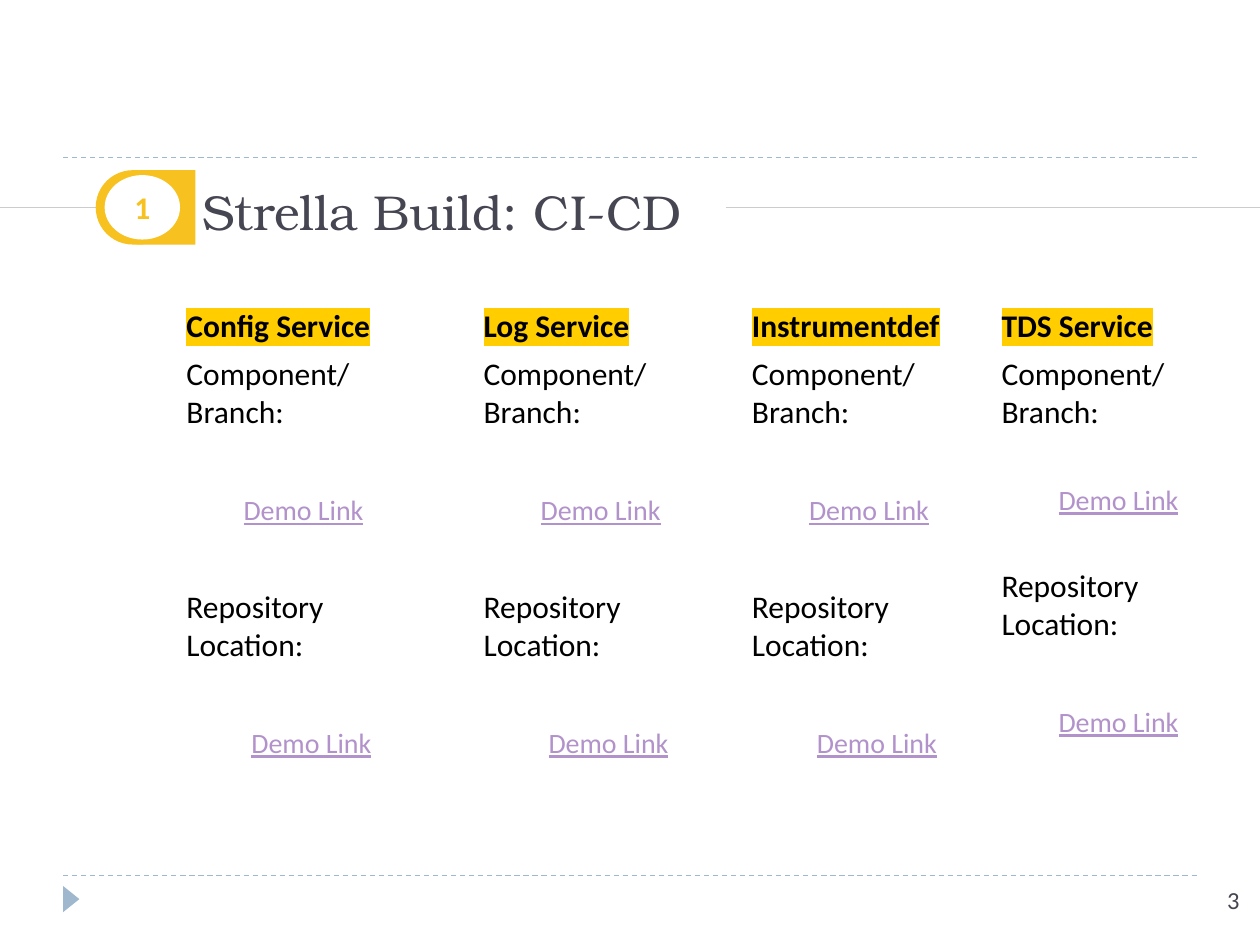
from lxml.etree import SubElement
from pptx import Presentation
from pptx.dml.color import RGBColor
from pptx.enum.dml import MSO_LINE
from pptx.enum.shapes import MSO_CONNECTOR, MSO_SHAPE
from pptx.enum.text import MSO_ANCHOR, PP_ALIGN
from pptx.oxml.ns import qn
from pptx.util import Cm, Pt

COLORS = {
    "ink": "000000", "heading": "464653", "link": "B292CA", "mark": "FFCD00",
    "badge": "F7C120", "white": "FFFFFF", "dash": "9FB8CD", "rule": "CCCCCC",
}
BODY, SERIF = "Calibri", "TeX Gyre Bonum"
SERVICES = [
    ("Config Service", (3.51, 5.92, 5.46, 11.56), 1.31, 0),
    ("Log Service", (9.5, 5.92, 5.44, 11.56), 1.31, 0),
    ("Instrumentdef", (14.91, 5.92, 5, 11.56), 1.31, 0),
    ("TDS Service", (19.94, 5.92, 4.95, 11.56), 1.15, 6),
]


def color(name):
    """Return the named colour."""
    return RGBColor.from_string(COLORS[name])


def style(para, size, tint, name=BODY, bold=False):
    """Format the first run of a paragraph and return it."""
    span = para.runs[0]
    span.font.size, span.font.name, span.font.bold = Pt(size), name, bold
    span.font.color.rgb = color(tint)
    return span


def highlight(span, tint):
    """Put a marker colour behind a run."""
    fill = span.font._element.find(qn("a:solidFill"))
    mark = SubElement(span.font._element, qn("a:highlight"))
    SubElement(mark, qn("a:srgbClr")).set("val", COLORS[tint])
    fill.addnext(mark)


def add_line(page, left, right, top, tint, dash=None):
    """Draw a thin horizontal line."""
    line = page.shapes.add_connector(
        MSO_CONNECTOR.STRAIGHT, Cm(left), Cm(top), Cm(right), Cm(top))
    line.line.width, line.line.color.rgb = Pt(0.75), color(tint)
    if dash:
        line.line.dash_style = dash
    SubElement(line._element.spPr, qn("a:effectLst"))


def add_solid(page, kind, box, tint, turn=0):
    """Add a filled preset shape without outline or shadow."""
    shape = page.shapes.add_shape(kind, *map(Cm, box))
    shape.fill.solid()
    shape.fill.fore_color.rgb = color(tint)
    shape.line.fill.background()
    shape.shadow.inherit = False
    shape.rotation = turn
    return shape


def add_text(page, box, lines, anchor=MSO_ANCHOR.TOP):
    """Add a wrapping text box and return its paragraphs."""
    frame = page.shapes.add_textbox(*map(Cm, box)).text_frame
    frame.word_wrap, frame.vertical_anchor = True, anchor
    frame.margin_left = frame.margin_right = Cm(0.25)
    frame.margin_top = frame.margin_bottom = Cm(0.25)
    frame.text = "\n".join(lines)
    return frame.paragraphs


def add_frame(page, box):
    """Draw the dashed borders, corner arrow and page number."""
    left, top, width, height = box
    for level in (top, top + height):
        add_line(page, left, left + width, level, "dash", MSO_LINE.DASH)
    add_solid(page, MSO_SHAPE.ISOSCELES_TRIANGLE,
              (left - 0.1, top + height + 0.31, 0.53, 0.33), "dash", 90)
    number, = add_text(page, (left + width - 0.41, top + height - 0.05, 1.52, 1.45), ["3"])
    number.alignment = PP_ALIGN.RIGHT
    style(number, 14, "heading")


def add_badge(page, box, label):
    """Draw the numbered badge."""
    left, top, width, height = box
    shift = (width - height) / 2
    add_solid(page, MSO_SHAPE.OVAL, (left + 0.33, top, 1.12, height), "mark")
    tab = add_solid(page, MSO_SHAPE.ROUND_2_SAME_RECTANGLE,
                    (left + shift, top - shift, height, width), "badge", 270)
    tab.adjustments[0], tab.adjustments[1] = 0.5, 0
    disc = add_solid(page, MSO_SHAPE.OVAL, (left + 0.18, top + 0.1, 1.52, 1.3), "white")
    disc.text_frame.text = label
    disc.text_frame.vertical_anchor = MSO_ANCHOR.MIDDLE
    para = disc.text_frame.paragraphs[0]
    para.alignment = PP_ALIGN.CENTER
    style(para, 18, "badge", bold=True)


def add_header(page, box):
    """Draw the title band with its rules and badge."""
    left, top, width, height = box
    middle = top + height / 2
    add_line(page, left, left + 3.81, middle, "rule")
    add_line(page, left + 14.63, left + width, middle, "rule")
    add_badge(page, (left + 1.93, top, 2.01, height), "1")
    title, = add_text(page, (left + 3.84, top, 11.46, 1.63),
                      ["Strella Build: CI-CD"], MSO_ANCHOR.MIDDLE)
    style(title, 28, "heading", SERIF)


def add_service(page, box, name, last_indent, tighten):
    """Write one service column with its two link labels."""
    paras = add_text(page, box, [name, "Component/Branch:", "Demo Link",
                                 "Repository Location:", "Demo Link"])
    gaps = (6, 6, 36 - tighten, 34.5 - tighten, 36)
    for para, gap in zip(paras, gaps):
        para.space_before = Pt(gap)
    highlight(style(paras[0], 18, "ink", bold=True), "mark")
    for para in (paras[1], paras[3]):
        style(para, 18, "ink")
    for para, indent in ((paras[2], 1.15), (paras[4], last_indent)):
        style(para, 16, "link").font.underline = True
        para._p.get_or_add_pPr().set("marL", str(Cm(indent)))


def main():
    """Build and save the slide."""
    deck = Presentation()
    deck.slide_width, deck.slide_height = Cm(25.4), Cm(19.05)
    page = deck.slides.add_slide(deck.slide_layouts[6])
    add_frame(page, (1.27, 3.17, 22.86, 14.48))
    add_header(page, (0, 3.43, 25.4, 1.5))
    for name, box, last_indent, tighten in SERVICES:
        add_service(page, box, name, last_indent, tighten)
    deck.save("out.pptx")


if __name__ == "__main__":
    main()
